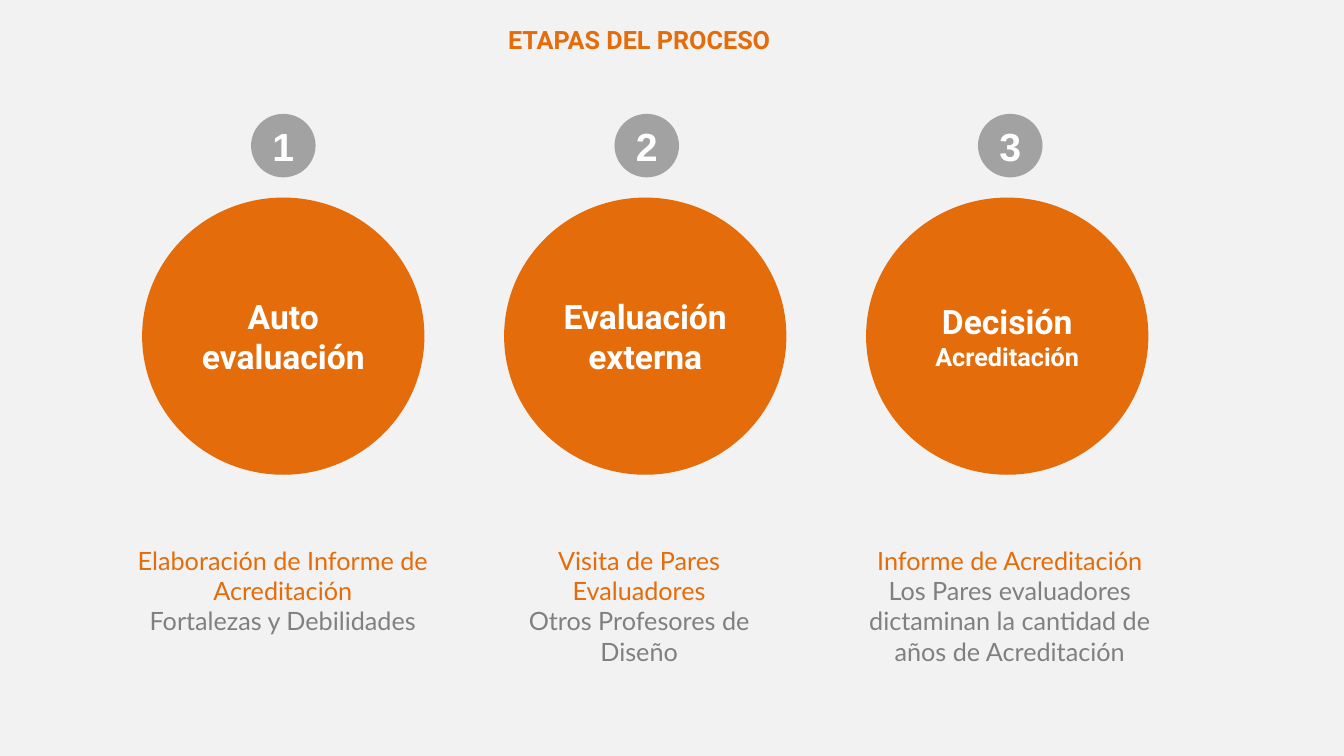
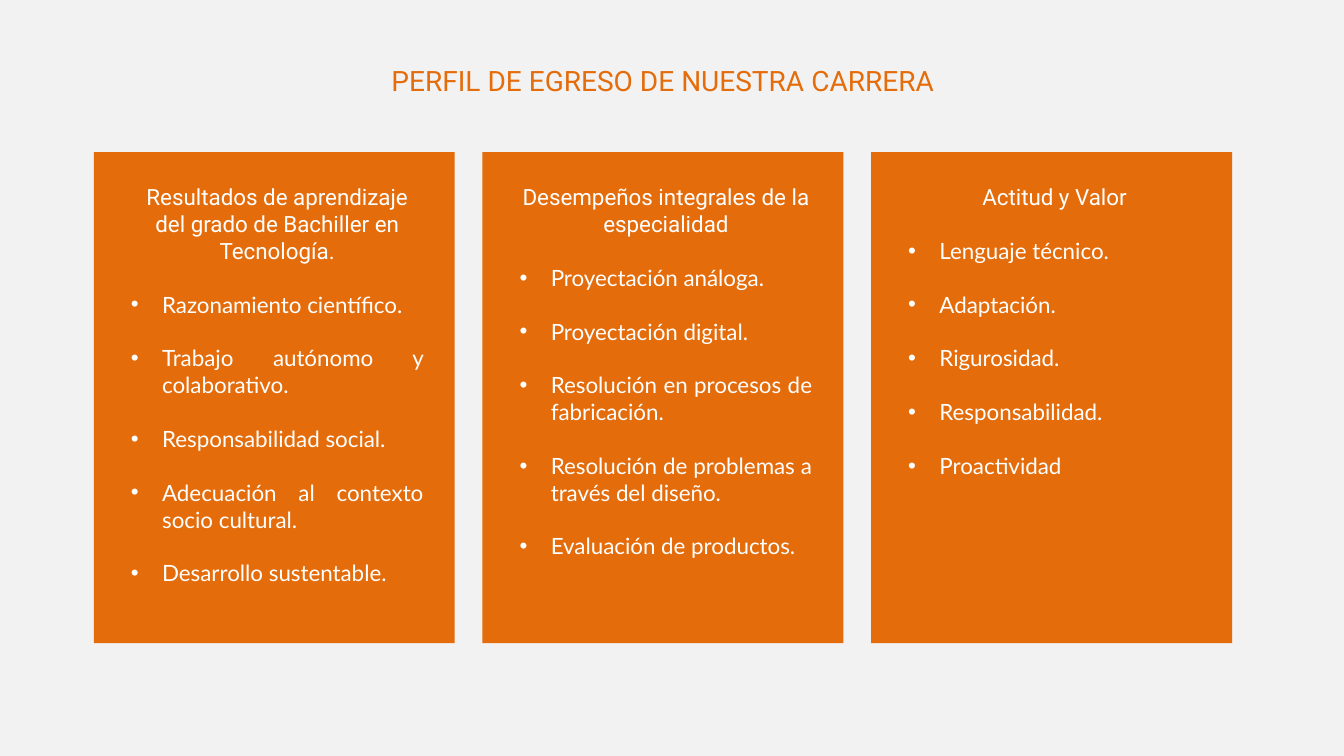
from dataclasses import dataclass

from lxml import etree
from pptx import Presentation
from pptx.dml.color import RGBColor
from pptx.enum.shapes import MSO_SHAPE
from pptx.enum.text import MSO_ANCHOR, MSO_AUTO_SIZE, PP_ALIGN
from pptx.oxml.ns import qn
from pptx.util import Inches, Pt

OVAL, RECTANGLE = MSO_SHAPE.OVAL, MSO_SHAPE.RECTANGLE
CENTER, JUSTIFY = PP_ALIGN.CENTER, PP_ALIGN.JUSTIFY
MIDDLE = MSO_ANCHOR.MIDDLE
GROW = MSO_AUTO_SIZE.SHAPE_TO_FIT_TEXT


@dataclass(frozen=True)
class Theme:
    background: str = "F2F2F2"
    accent: str = "E46C0A"
    badge: str = "7F7F7F"
    muted: str = "808080"
    white: str = "FFFFFF"
    heading_font: str = "Roboto"
    body_font: str = "Lato"
    number_font: str = "Arial"
    number_size: int = 28
    stage_size: int = 24
    title_size: int = 20
    text_size: int = 18
    card_size: int = 16
    item_gap: float = 19.2
    item_indent: float = 0.31
    badge_opacity: int = 69


THEME = Theme()

# Each stage: lines in the circle (runs of text and size), caption, detail, caption left and width
STAGES = [
    ([[("Auto", THEME.stage_size)], [("evaluación", THEME.stage_size)]],
     "Elaboración de Informe de Acreditación", "Fortalezas y Debilidades", 0.99, 3.63),
    ([[("Evaluación externa", THEME.stage_size)]],
     "Visita de Pares Evaluadores", "Otros Profesores de Diseño", 5.01, 2.66),
    ([[("Decisión ", THEME.stage_size), ("Acreditación", THEME.text_size)]],
     "Informe de Acreditación",
     "Los Pares evaluadores dictaminan la cantidad de años de Acreditación", 8.46, 3.11),
]

CARDS = [
    ("Resultados de aprendizaje del grado de Bachiller en Tecnología.",
     ["Razonamiento científico.", "Trabajo autónomo y colaborativo.",
      "Responsabilidad social.", "Adecuación al contexto socio cultural.",
      "Desarrollo sustentable."]),
    ("Desempeños integrales de la especialidad",
     ["Proyectación análoga.", "Proyectación digital.",
      "Resolución en procesos de fabricación.",
      "Resolución de problemas a través del diseño.", "Evaluación de productos."]),
    ("Actitud y Valor",
     ["Lenguaje técnico.", "Adaptación.", "Rigurosidad.", "Responsabilidad.",
      "Proactividad"]),
]


def spread(first, last, count=3):
    """Evenly spaced positions from first to last."""
    return [first + (last - first) * index / (count - 1) for index in range(count)]


def set_values(target, values):
    for name, value in values.items():
        setattr(target, name, value)


# Text
def add_span(para, text, font, size, color, bold=False):
    span = para.add_run()
    span.text = text
    set_values(span.font, {"name": font, "size": Pt(size), "bold": bold})
    span.font.color.rgb = RGBColor.from_string(color)


def next_para(frame, align=CENTER):
    first = frame.paragraphs[0]
    para = frame.add_paragraph() if first.runs else first
    para.alignment = align
    return para


def add_bullet(para):
    properties = para._p.get_or_add_pPr()
    indent = Inches(THEME.item_indent)
    properties.set("marL", str(indent))
    properties.set("indent", str(-indent))
    etree.SubElement(properties, qn("a:buFont")).set("typeface", "Arial")
    etree.SubElement(properties, qn("a:buChar")).set("char", "•")


def add_text_box(page, left, top, width, height, wrap=True):
    box = page.shapes.add_textbox(*map(Inches, (left, top, width, height)))
    set_values(box.text_frame, {"word_wrap": wrap, "auto_size": GROW})
    return box.text_frame


def add_title(page, text, place, size, bold=False, wrap=True):
    frame = add_text_box(page, *place, wrap=wrap)
    add_span(next_para(frame), text, THEME.heading_font, size, THEME.accent, bold)


# Filled shapes
def add_filled(page, kind, left, top, width, height, color, opacity=100):
    shape = page.shapes.add_shape(kind, *map(Inches, (left, top, width, height)))
    shape.shadow.inherit = False
    shape.fill.solid()
    shape.fill.fore_color.rgb = RGBColor.from_string(color)
    shape.line.fill.background()
    if opacity < 100:
        tint = shape._element.spPr.find(qn("a:solidFill"))[0]
        etree.SubElement(tint, qn("a:alpha")).set("val", str(opacity * 1000))
    return shape


def add_circle(page, place, color, lines, font, opacity=100):
    frame = add_filled(page, OVAL, *place, color, opacity).text_frame
    set_values(frame, {"word_wrap": True, "vertical_anchor": MIDDLE, "margin_left": 0,
                       "margin_right": 0, "margin_top": 0, "margin_bottom": 0})
    for line in lines:
        para = next_para(frame)
        for text, size in line:
            add_span(para, text, font, size, THEME.white, True)


def add_caption(page, left, width, caption, detail):
    frame = add_text_box(page, left, 5.36, width, 1.31)
    for text, color in ((caption, THEME.accent), (detail, THEME.muted)):
        add_span(next_para(frame), text, THEME.body_font, THEME.text_size, color)


def add_card(page, left, heading, items):
    add_filled(page, RECTANGLE, left, 1.51, 3.58, 4.87, THEME.accent)
    frame = add_text_box(page, left + 0.27, 1.77, 3.1, 4.14)
    add_span(next_para(frame), heading, THEME.heading_font, THEME.card_size, THEME.white)
    for item in items:
        para = next_para(frame, JUSTIFY)
        para.space_before = Pt(THEME.item_gap)
        add_bullet(para)
        add_span(para, item, THEME.body_font, THEME.card_size, THEME.white)


# Slides
def build_stages(page):
    columns = zip(STAGES, spread(1.41, 8.59), spread(2.49, 9.7))
    for number, (stage, circle_left, badge_left) in enumerate(columns, 1):
        lines, caption, detail, caption_left, caption_width = stage
        add_circle(page, (circle_left, 1.96, 2.8, 2.75), THEME.accent, lines,
                   THEME.heading_font)
        add_circle(page, (badge_left, 1.13, 0.64, 0.63), THEME.badge,
                   [[(str(number), THEME.number_size)]], THEME.number_font,
                   THEME.badge_opacity)
        add_caption(page, caption_left, caption_width, caption, detail)
    add_title(page, "ETAPAS DEL PROCESO", (4.91, 0.19, 2.86, 0.4), THEME.text_size,
              bold=True, wrap=False)


def build_profile(page):
    for (heading, items), left in zip(CARDS, spread(0.93, 8.64)):
        add_card(page, left, heading, items)
    add_title(page, "PERFIL DE EGRESO DE NUESTRA CARRERA", (3.24, 0.58, 6.67, 0.77),
              THEME.title_size)


def main():
    deck = Presentation()
    set_values(deck, {"slide_width": Inches(13.33), "slide_height": Inches(7.5)})
    backdrop = deck.slide_master.background.fill
    backdrop.solid()
    backdrop.fore_color.rgb = RGBColor.from_string(THEME.background)
    for build in (build_stages, build_profile):
        build(deck.slides.add_slide(deck.slide_layouts[6]))
    deck.save("out.pptx")


if __name__ == "__main__":
    main()
